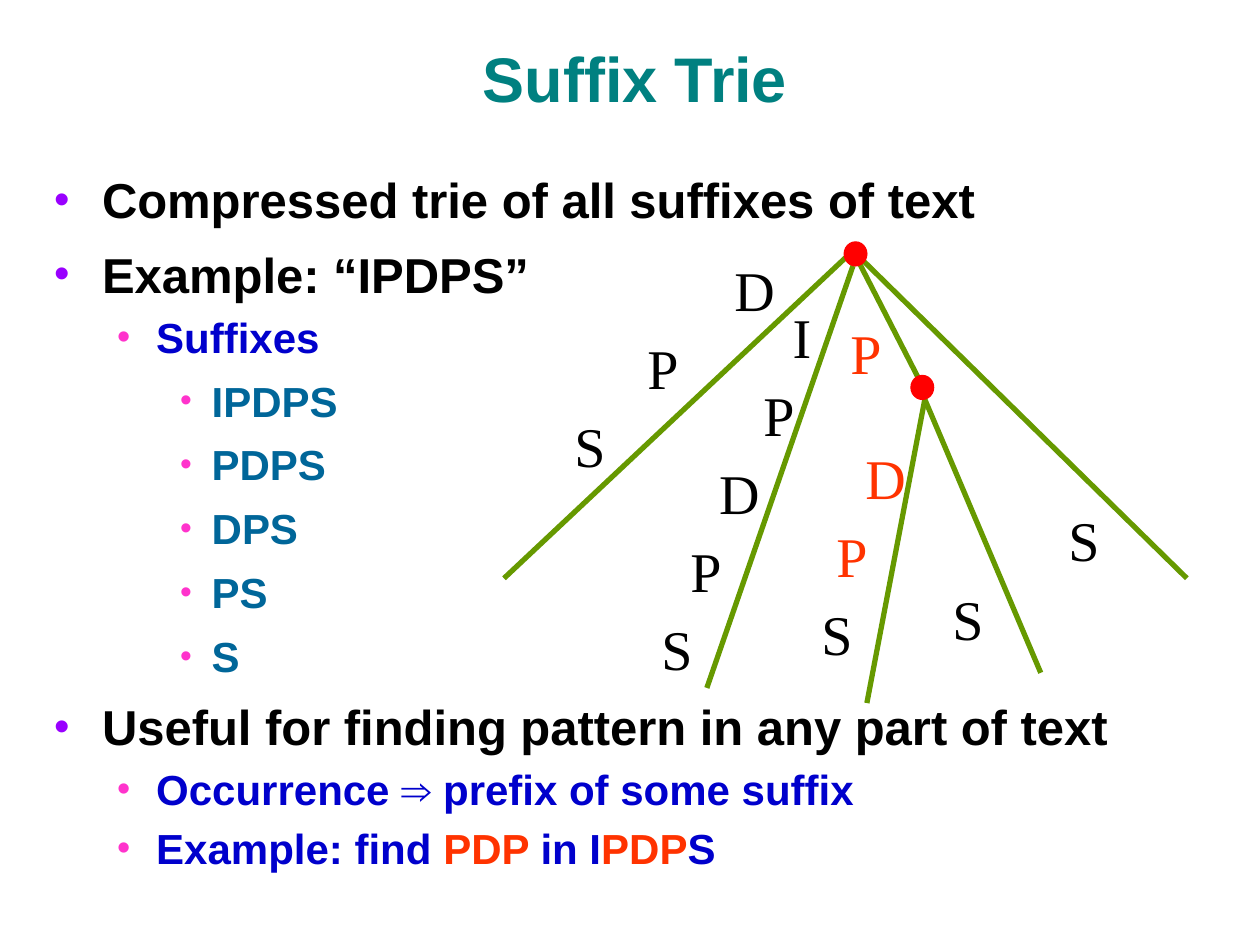
from typing import NamedTuple

from lxml import etree
from pptx import Presentation
from pptx.dml.color import RGBColor
from pptx.enum.shapes import MSO_CONNECTOR, MSO_SHAPE
from pptx.enum.text import MSO_ANCHOR, MSO_AUTO_SIZE, PP_ALIGN
from pptx.oxml.ns import qn
from pptx.util import Inches, Pt

LINE = MSO_CONNECTOR.STRAIGHT
OVAL = MSO_SHAPE.OVAL
CENTER = PP_ALIGN.CENTER
BOTTOM, MIDDLE = MSO_ANCHOR.BOTTOM, MSO_ANCHOR.MIDDLE
FIXED_SIZE = MSO_AUTO_SIZE.NONE

BLACK, TEAL, HIGHLIGHT = "000000", "008080", "FF3300"
EDGE_COLOR, NODE_COLOR = "669900", "FF0000"
LABEL_HEIGHT = 0.37
NODE_WIDTH, NODE_HEIGHT = 0.18, 0.19


class Level(NamedTuple):
    size: int
    color: str
    indent: float
    hanging: float
    spacing: float
    bullet_color: str
    bullet_percent: int


class Item(NamedTuple):
    level: int
    phrases: tuple  # plain and highlighted text in turn


class Edge(NamedTuple):
    x1: float
    y1: float
    x2: float
    y2: float


class Label(NamedTuple):
    letter: str
    left: float
    top: float
    color: str = BLACK
    width: float = 0.35


LEVELS = (
    Level(28, BLACK, 0.38, 0.38, 1.1, "9900FF", 90),
    Level(24, "0000CC", 0.81, 0.31, 1.0, "FF33CC", 90),
    Level(24, "006699", 1.25, 0.25, 1.1, "FF33CC", 80),
)

WORD = "IPDPS"
ITEMS = (
    Item(0, ("Compressed trie of all suffixes of text",)),
    Item(0, (f"Example: “{WORD}”",)),
    Item(1, ("Suffixes",)),
    *(Item(2, (WORD[start:],)) for start in range(len(WORD))),
    Item(0, ("Useful for finding pattern in any part of text",)),
    Item(1, ("Occurrence ⇒ prefix of some suffix",)),
    Item(1, ("Example: find ", "PDP ", "in I", "PDP", "S")),
)

EDGES = (
    Edge(6.77, 1.99, 4.00, 4.59),
    Edge(6.77, 2.11, 5.61, 5.46),
    Edge(6.77, 1.99, 7.34, 3.10),
    Edge(6.77, 1.99, 9.42, 4.59),
    Edge(7.34, 3.17, 6.88, 5.58),
    Edge(7.34, 3.17, 8.26, 5.34),
)

NODES = ((6.70, 1.92), (7.23, 2.98))

LABELS = (
    # Suffix DPS
    Label("D", 5.73, 2.11), Label("P", 5.04, 2.73), Label("S", 4.46, 3.35),
    # Suffix IPDPS
    Label("I", 6.19, 2.48), Label("P", 5.96, 3.10, width=0.23),
    Label("D", 5.61, 3.72), Label("P", 5.38, 4.34), Label("S", 5.15, 4.96),
    # Suffixes PDPS and PS, which share their first letter
    Label("P", 6.65, 2.61, HIGHLIGHT), Label("D", 6.77, 3.60, HIGHLIGHT),
    Label("P", 6.54, 4.22, HIGHLIGHT), Label("S", 6.42, 4.84),
    Label("S", 7.46, 4.72),
    # Suffix S
    Label("S", 8.38, 4.09),
)


def rgb(color: str) -> RGBColor:
    return RGBColor.from_string(color)


def add_text(paragraph, text: str, *, size: int, color: str,
             font: str = "Arial", bold: bool = True) -> None:
    run = paragraph.add_run()
    run.text = text
    run.font.name = font
    run.font.size = Pt(size)
    run.font.bold = bold
    run.font.color.rgb = rgb(color)


def place(shape, left: float, top: float, width: float, height: float) -> None:
    shape.left, shape.top = Inches(left), Inches(top)
    shape.width, shape.height = Inches(width), Inches(height)


def add_child(parent, tag: str, **attributes: str):
    return etree.SubElement(parent, qn(tag), attributes)


def space_before(paragraph, percent: int = 20):
    properties = paragraph._p.get_or_add_pPr()
    spacing = add_child(properties, "a:spcBef")
    add_child(spacing, "a:spcPct", val=str(percent * 1000))
    return properties


def add_item(paragraph, item: Item) -> None:
    level = LEVELS[item.level]
    paragraph.level = item.level
    paragraph.line_spacing = level.spacing
    properties = space_before(paragraph)
    properties.set("marL", str(Inches(level.indent)))
    properties.set("indent", str(-Inches(level.hanging)))
    bullet_color = add_child(properties, "a:buClr")
    add_child(bullet_color, "a:srgbClr", val=level.bullet_color)
    add_child(properties, "a:buSzPct", val=str(level.bullet_percent * 1000))
    add_child(properties, "a:buFont", typeface="Arial")
    add_child(properties, "a:buChar", char="•")
    for index, phrase in enumerate(item.phrases):
        add_text(paragraph, phrase, size=level.size,
                 color=HIGHLIGHT if index % 2 else level.color)


def add_edge(trie, edge: Edge) -> None:
    branch = trie.shapes.add_connector(LINE, *(Inches(value) for value in edge))
    branch.line.color.rgb = rgb(EDGE_COLOR)
    branch.line.width = Pt(3)
    add_child(branch._element.spPr, "a:effectLst")


def add_node(trie, left: float, top: float) -> None:
    node = trie.shapes.add_shape(OVAL, Inches(left), Inches(top),
                                 Inches(NODE_WIDTH), Inches(NODE_HEIGHT))
    node.shadow.inherit = False
    node.fill.solid()
    node.fill.fore_color.rgb = rgb(NODE_COLOR)
    node.line.color.rgb = rgb(NODE_COLOR)
    node.line.width = Pt(0.75)


def add_label(trie, label: Label) -> None:
    frame = trie.shapes.add_textbox(
        Inches(label.left), Inches(label.top),
        Inches(label.width), Inches(LABEL_HEIGHT)).text_frame
    frame.word_wrap = False
    frame.vertical_anchor = MIDDLE
    paragraph = frame.paragraphs[0]
    paragraph.alignment = CENTER
    space_before(paragraph)
    add_text(paragraph, label.letter, size=32, color=label.color,
             font="Times New Roman", bold=False)


def main() -> None:
    deck = Presentation()
    deck.slide_width, deck.slide_height = Inches(10), Inches(7.5)
    slide = deck.slides.add_slide(deck.slide_layouts[1])

    # Title
    title = slide.shapes.title
    place(title, 0.33, 0.17, 9.42, 0.79)
    title.text_frame.auto_size = FIXED_SIZE
    title.text_frame.vertical_anchor = BOTTOM
    heading = title.text_frame.paragraphs[0]
    heading.alignment = CENTER
    add_text(heading, "Suffix Trie", size=36, color=TEAL)

    # Bullet list
    body = slide.placeholders[1]
    place(body, 0.33, 1.25, 9.42, 5.83)
    outline = body.text_frame
    outline.auto_size = FIXED_SIZE
    for index, item in enumerate(ITEMS):
        add_item(outline.add_paragraph() if index else outline.paragraphs[0], item)

    # Trie: branches, then nodes and letters on top
    trie = slide.shapes.add_group_shape()
    for edge in EDGES:
        add_edge(trie, edge)
    for left, top in NODES:
        add_node(trie, left, top)
    for label in LABELS:
        add_label(trie, label)

    deck.save("out.pptx")


if __name__ == "__main__":
    main()
